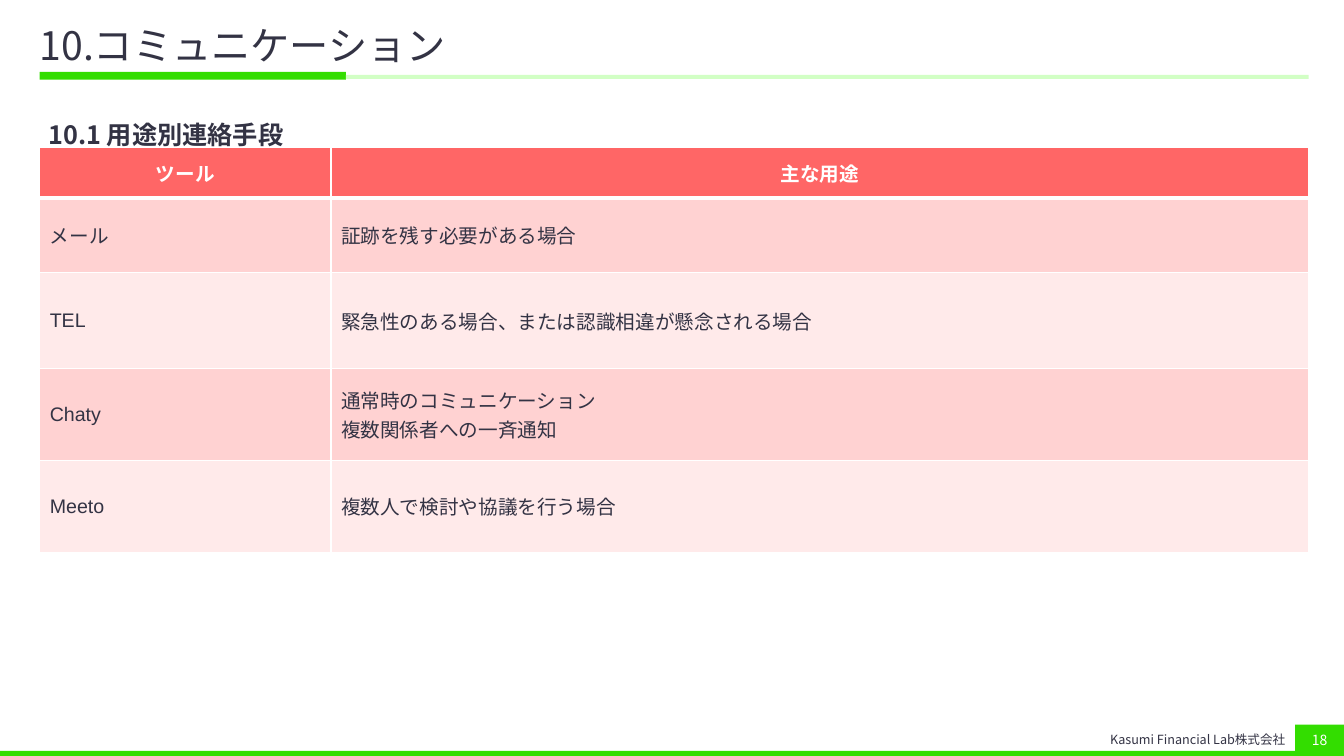
from dataclasses import dataclass
from typing import Optional

from lxml import etree
from pptx import Presentation
from pptx.dml.color import RGBColor
from pptx.enum import lang, shapes, text
from pptx.oxml import ns
from pptx.util import Cm, Pt


@dataclass(frozen=True)
class Theme:
    font: str = "Noto Sans CJK JP"
    table_font: str = "Arial"
    ink: str = "333344"
    white: str = "FFFFFF"
    green: str = "33DD00"
    pale_green: str = "D2FFC5"
    header: str = "FF6666"
    bands: tuple[str, str] = ("FFD2D2", "FFEAEA")
    title_size: float = 28
    heading_size: float = 18
    table_size: float = 14
    footer_size: float = 9
    number_size: float = 10


@dataclass(frozen=True)
class Box:
    left: float
    top: float
    width: float
    height: float

    def lengths(self) -> tuple[Cm, Cm, Cm, Cm]:
        return Cm(self.left), Cm(self.top), Cm(self.width), Cm(self.height)


@dataclass(frozen=True)
class Bar:
    box: Box
    color: str


@dataclass(frozen=True)
class Label:
    box: Box
    words: str
    size: float
    color: str = Theme.ink
    bold: bool = False
    align: text.PP_ALIGN = text.PP_ALIGN.LEFT
    anchor: text.MSO_ANCHOR = text.MSO_ANCHOR.MIDDLE
    line_spacing: Optional[float] = None
    margin_left: float = 0.25
    margin_right: float = 0.25
    fill: Optional[str] = None


@dataclass(frozen=True)
class Row:
    height: float
    tool: str
    purpose: str


THEME = Theme()
WIDTH, HEIGHT = 33.87, 19.05
LEFT, CONTENT_WIDTH = 1.0, 31.98
ACCENT_WIDTH = 7.72
COLUMN_WIDTHS = (7.34, 24.64)

BARS = (
    Bar(Box(LEFT, 1.81, ACCENT_WIDTH, 0.2), THEME.green),
    Bar(Box(LEFT + ACCENT_WIDTH, 1.89, CONTENT_WIDTH - ACCENT_WIDTH, 0.1), THEME.pale_green),
    Bar(Box(0, HEIGHT - 0.13, WIDTH, 0.13), THEME.green),
)

LABELS = (
    Label(Box(LEFT, 0.5, CONTENT_WIDTH, 1.43), "10.コミュニケーション", THEME.title_size,
          line_spacing=0.9, margin_left=0, margin_right=0.4),
    Label(Box(27.59, 18.29, 5.05, 0.69), "Kasumi Financial Lab株式会社", THEME.footer_size,
          align=text.PP_ALIGN.RIGHT),
    Label(Box(32.64, 18.26, 1.23, 0.79), "18", THEME.number_size, THEME.white,
          align=text.PP_ALIGN.CENTER, fill=THEME.green),
)

HEADING = Label(Box(0.97, 2.46, 32, 15.52), "10.1 用途別連絡手段", THEME.heading_size, bold=True,
                anchor=text.MSO_ANCHOR.TOP, line_spacing=1.56)

ROWS = (
    Row(1.27, "ツール", "主な用途"),
    Row(1.88, "メール", "証跡を残す必要がある場合"),
    Row(2.41, "TEL", "緊急性のある場合、または認識相違が懸念される場合"),
    Row(2.32, "Chaty", "通常時のコミュニケーション\n複数関係者への一斉通知"),
    Row(2.32, "Meeto", "複数人で検討や協議を行う場合"),
)


def format_text(text_frame, size: float, color: str, bold: bool, font: str,
                align: text.PP_ALIGN, line_spacing: Optional[float] = None) -> None:
    for paragraph in text_frame.paragraphs:
        paragraph.alignment = align
        paragraph.line_spacing = line_spacing
        for run in paragraph.runs:
            run.font.size = Pt(size)
            run.font.bold = bold
            run.font.name = font
            run.font.color.rgb = RGBColor.from_string(color)
            run.font.language_id = lang.MSO_LANGUAGE_ID.JAPANESE
            east_asian = etree.SubElement(run.font._element, ns.qn("a:ea"))
            east_asian.set("typeface", THEME.font)


def add_bar(slide, bar: Bar):
    shape = slide.shapes.add_shape(shapes.MSO_SHAPE.RECTANGLE, *bar.box.lengths())
    shape.shadow.inherit = False
    shape.fill.solid()
    shape.fill.fore_color.rgb = RGBColor.from_string(bar.color)
    shape.line.fill.background()
    return shape


def add_label(slide, label: Label) -> None:
    if label.fill:
        shape = add_bar(slide, Bar(label.box, label.fill))
    else:
        shape = slide.shapes.add_textbox(*label.box.lengths())
    text_frame = shape.text_frame
    text_frame.word_wrap = True
    text_frame.vertical_anchor = label.anchor
    text_frame.margin_left = Cm(label.margin_left)
    text_frame.margin_right = Cm(label.margin_right)
    text_frame.text = label.words
    format_text(text_frame, label.size, label.color, label.bold, THEME.font,
                label.align, label.line_spacing)


def set_borders(cell, top: float, bottom: float) -> None:
    properties = cell._tc.get_or_add_tcPr()
    widths = {"lnL": 1, "lnR": 1, "lnT": top, "lnB": bottom}
    for position, (side, width) in enumerate(widths.items()):
        line = etree.Element(ns.qn(f"a:{side}"), w=str(Pt(width)))
        fill = etree.SubElement(line, ns.qn("a:solidFill"))
        etree.SubElement(fill, ns.qn("a:srgbClr"), val=THEME.white)
        properties.insert(position, line)


def add_tool_table(slide, rows: tuple[Row, ...]) -> None:
    box = Box(LEFT, 3.72, CONTENT_WIDTH, sum(row.height for row in rows))
    table = slide.shapes.add_table(len(rows), len(COLUMN_WIDTHS), *box.lengths()).table
    for column, width in zip(table.columns, COLUMN_WIDTHS):
        column.width = Cm(width)
    for index, row in enumerate(rows):
        is_header = index == 0
        fill = THEME.header if is_header else THEME.bands[(index - 1) % 2]
        color = THEME.white if is_header else THEME.ink
        align = text.PP_ALIGN.CENTER if is_header else text.PP_ALIGN.LEFT
        table.rows[index].height = Cm(row.height)
        for cell, words in zip(table.rows[index].cells, (row.tool, row.purpose)):
            cell.text_frame.text = words
            cell.vertical_anchor = text.MSO_ANCHOR.MIDDLE
            cell.fill.solid()
            cell.fill.fore_color.rgb = RGBColor.from_string(fill)
            set_borders(cell, top=3 if index == 1 else 1, bottom=3 if is_header else 1)
            format_text(cell.text_frame, THEME.table_size, color, is_header,
                        THEME.table_font, align)


def main() -> None:
    presentation = Presentation()
    presentation.slide_width, presentation.slide_height = Cm(WIDTH), Cm(HEIGHT)
    slide = presentation.slides.add_slide(presentation.slide_layouts[6])
    for bar in BARS:
        add_bar(slide, bar)
    for label in LABELS:
        add_label(slide, label)
    add_tool_table(slide, ROWS)
    add_label(slide, HEADING)
    presentation.save("out.pptx")


if __name__ == "__main__":
    main()
